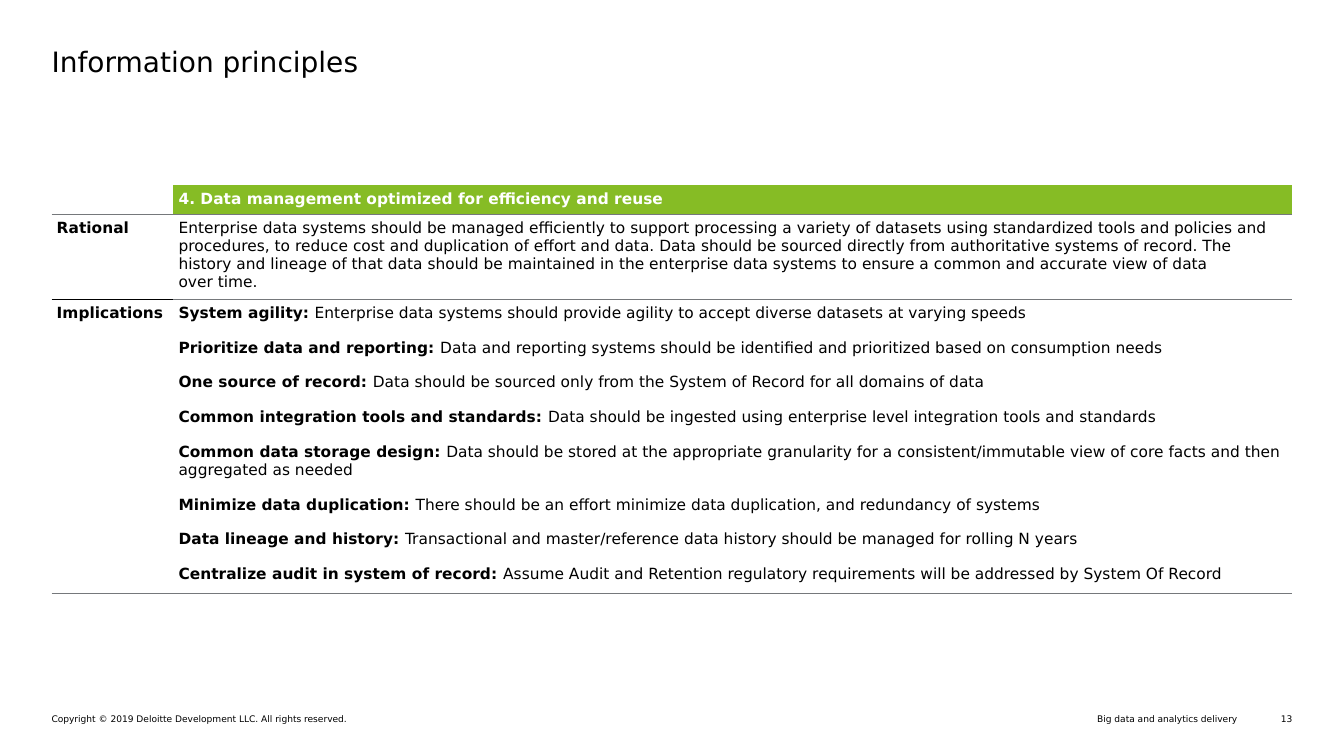
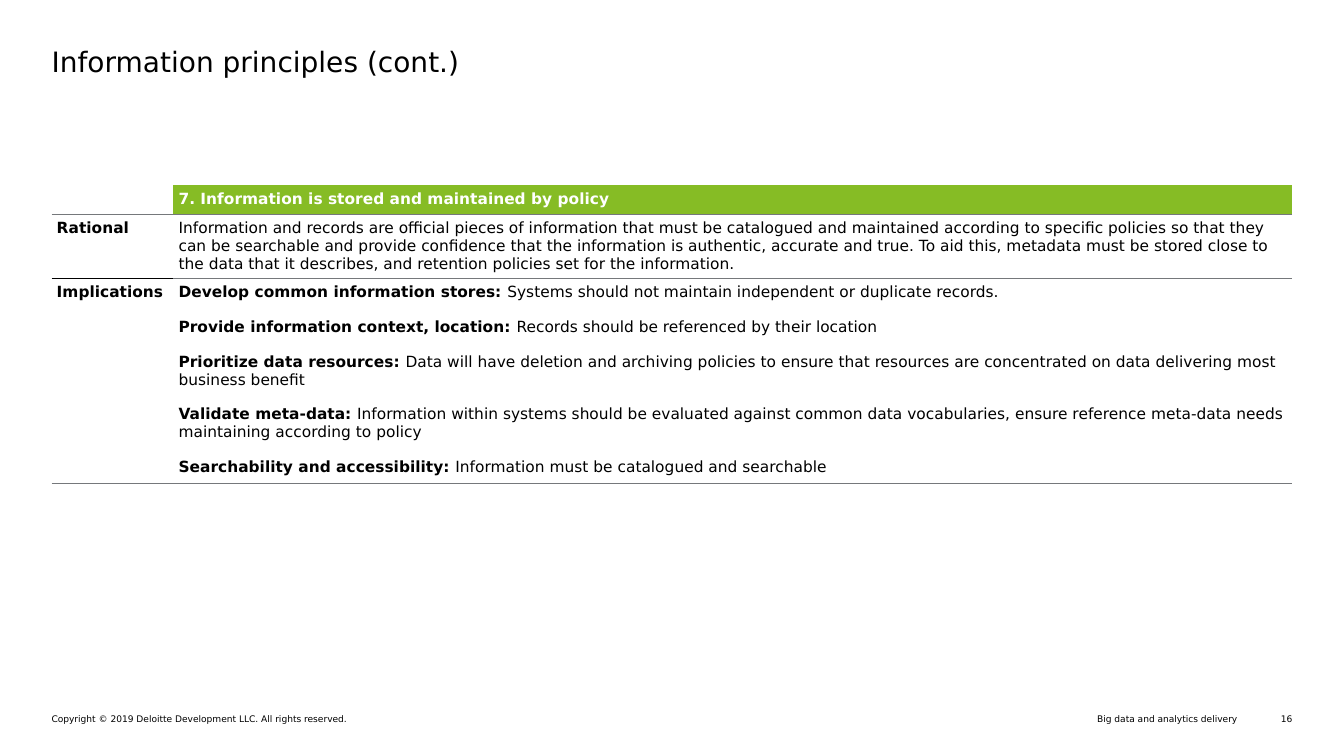
import pptx
import pptx.dml.color
import pptx.enum.text
import pptx.oxml.ns
import pptx.util
from lxml import etree

Cm = pptx.util.Cm
Pt = pptx.util.Pt
RGB = pptx.dml.color.RGBColor
ALIGN = pptx.enum.text.PP_ALIGN
qn = pptx.oxml.ns.qn

# Shared look
FONT = "DejaVu Sans"
BLACK = RGB(0x00, 0x00, 0x00)
WHITE = RGB(0xFF, 0xFF, 0xFF)
GREEN = RGB(0x86, 0xBC, 0x25)
GRAY = RGB(0x75, 0x78, 0x7B)
PLAIN = "{2D5ABB26-0587-4C30-8999-92F81FD0307C}"  # table style without grid

# Shared boxes: left, top, width, height
LEFT, WIDE = Cm(1.3), Cm(31.27)
TITLE = (LEFT, Cm(1.12), WIDE, Cm(1.93))
TABLE = (LEFT, Cm(4.67), WIDE)
FOOTER = (LEFT, Cm(17.98), WIDE, Cm(0.28))
LABEL = Cm(3.07)  # width of the label column
INSET = Cm(0.13)

COPY = "Copyright © 2019 Deloitte Development LLC. All rights reserved."
DECK = "Big data and analytics delivery"

PAGES = [
    {
        "title": "Information principles",
        "page": "13",
        "head": "4. Data management optimized for efficiency and reuse",
        "why": "Enterprise data systems should be managed efficiently to support "
               "processing a variety of datasets using standardized tools and policies "
               "and procedures, to reduce cost and duplication of effort and data. Data "
               "should be sourced directly from authoritative systems of record. The "
               "history and lineage of that data should be maintained in the enterprise "
               "data systems to ensure a common and accurate view of data \vover time.",
        "points": [
            ("System agility", "Enterprise data systems should provide agility to "
             "accept diverse datasets at varying speeds"),
            ("Prioritize data and reporting", "Data and reporting systems should be "
             "identified and prioritized based on consumption needs"),
            ("One source of record", "Data should be sourced only from the System of "
             "Record for all domains of data"),
            ("Common integration tools and standards", "Data should be ingested using "
             "enterprise level integration tools and standards"),
            ("Common data storage design", "Data should be stored at the appropriate "
             "granularity for a consistent/immutable view of core facts and then "
             "aggregated as needed"),
            ("Minimize data duplication", "There should be an effort minimize data "
             "duplication, and redundancy of systems"),
            ("Data lineage and history", "Transactional and master/reference data "
             "history should be managed for rolling N years"),
            ("Centralize audit in system of record", "Assume Audit and Retention "
             "regulatory requirements will be addressed by System Of Record"),
        ],
        "rows": (0.73, 2.13, 7.41),
    },
    {
        "title": "Information principles (cont.)",
        "page": "16",
        "head": "7. Information is stored and maintained by policy",
        "why": "Information and records are official pieces of information that must be "
               "catalogued and maintained according to specific policies so that they can "
               "be searchable and provide confidence that the information is authentic, "
               "accurate and true. To aid this, metadata must be stored close to the data "
               "that it describes, and retention policies set for the information.",
        "points": [
            ("Develop common information stores", "Systems should not maintain "
             "independent or duplicate records."),
            ("Provide information context, location", "Records should be referenced by "
             "their location"),
            ("Prioritize data resources", "Data will have deletion and archiving "
             "policies to ensure that resources are concentrated on data delivering "
             "most business benefit"),
            ("Validate meta-data", "Information within systems should be evaluated "
             "against common data vocabularies, ensure reference meta-data needs "
             "maintaining according to policy"),
            ("Searchability and accessibility", "Information must be catalogued and "
             "searchable"),
        ],
        "rows": (0.72, 1.61, 5.16),
    },
]


def style(para, size, color=BLACK, bold=None):
    font = para.font
    font.name, font.size, font.bold = FONT, Pt(size), bold
    font.color.rgb = color


def clear(frame):
    """Drop all insets of a text frame."""
    frame.margin_left = frame.margin_right = 0
    frame.margin_top = frame.margin_bottom = 0
    frame.word_wrap = True


def add_title(slide, box, text):
    title = slide.shapes.title
    title.left, title.top, title.width, title.height = box
    frame = title.text_frame
    clear(frame)
    frame.vertical_anchor = pptx.enum.text.MSO_ANCHOR.TOP
    frame.text = text
    para = frame.paragraphs[0]
    para.alignment = ALIGN.LEFT
    style(para, 20)


def add_footer(slide, box, page):
    left, top, width, height = box
    # text, offset from the left, width, alignment
    parts = [
        (COPY, 0, Cm(14.88), ALIGN.LEFT),
        (DECK, Cm(16.3), Cm(13.59), ALIGN.RIGHT),
        (page, width - Cm(0.86), Cm(0.86), ALIGN.RIGHT),
    ]
    for text, shift, span, align in parts:
        frame = slide.shapes.add_textbox(left + shift, top, span, height).text_frame
        clear(frame)
        frame.text = text
        para = frame.paragraphs[0]
        para.alignment = align
        style(para, 6.5)


def edge(cell, side, color, width):
    """Draw one border; call before the fill is set."""
    props = cell._tc.get_or_add_tcPr()
    line = etree.SubElement(props, qn("a:ln" + side), w=str(Pt(width)))
    fill = etree.SubElement(line, qn("a:solidFill"))
    etree.SubElement(fill, qn("a:srgbClr"), val=str(color))


def paint(cell, color):
    cell.fill.solid()
    cell.fill.fore_color.rgb = color


def add_points(cell, points):
    frame = cell.text_frame
    for i, (name, text) in enumerate(points):
        para = frame.add_paragraph() if i else frame.paragraphs[0]
        para.space_after = Pt(12)
        style(para, 11)
        lead = para.add_run()
        lead.text = name + ": "
        lead.font.bold = True
        para.add_run().text = text


def add_table(slide, box, data):
    left, top, width = box
    rows = [Cm(h) for h in data["rows"]]
    frame = slide.shapes.add_table(3, 2, left, top, width, sum(rows))
    for mark in frame.element.iter(qn("a:tableStyleId")):
        mark.text = PLAIN
    table = frame.table
    table.first_row = table.horz_banding = False
    table.columns[0].width = LABEL
    table.columns[1].width = width - LABEL
    for row, height in zip(table.rows, rows):
        row.height = height
    for cell in table.iter_cells():
        cell.margin_left = cell.margin_right = INSET
        cell.margin_top = cell.margin_bottom = INSET

    # Rules: gray, but a thin black one between the two labels
    gray, thin = (GRAY, 0.5), (BLACK, 0.25)
    for col, mid in enumerate((thin, gray)):
        rules = (None, gray, mid, gray)
        for row in range(3):
            cell = table.cell(row, col)
            if rules[row]:
                edge(cell, "T", *rules[row])
            edge(cell, "B", *rules[row + 1])

    # Text and fills
    texts = [
        (0, 0, "", BLACK, True, None),
        (0, 1, data["head"], WHITE, True, GREEN),
        (1, 0, "Rational", BLACK, True, WHITE),
        (1, 1, data["why"], BLACK, False, None),
        (2, 0, "Implications", BLACK, True, WHITE),
    ]
    for row, col, text, color, bold, fill in texts:
        cell = table.cell(row, col)
        para = cell.text_frame.paragraphs[0]
        para.text = text
        style(para, 11, color, bold)
        if not text:  # an empty cell takes its height from the end mark
            etree.SubElement(para._p, qn("a:endParaRPr"), sz="1100")
        if fill is not None:
            paint(cell, fill)
    add_points(table.cell(2, 1), data["points"])


def main():
    deck = pptx.Presentation()
    deck.slide_width, deck.slide_height = Cm(33.87), Cm(19.05)
    for data in PAGES:
        slide = deck.slides.add_slide(deck.slide_layouts[5])
        add_title(slide, TITLE, data["title"])
        add_table(slide, TABLE, data)
        add_footer(slide, FOOTER, data["page"])
    deck.save("out.pptx")


if __name__ == "__main__":
    main()
